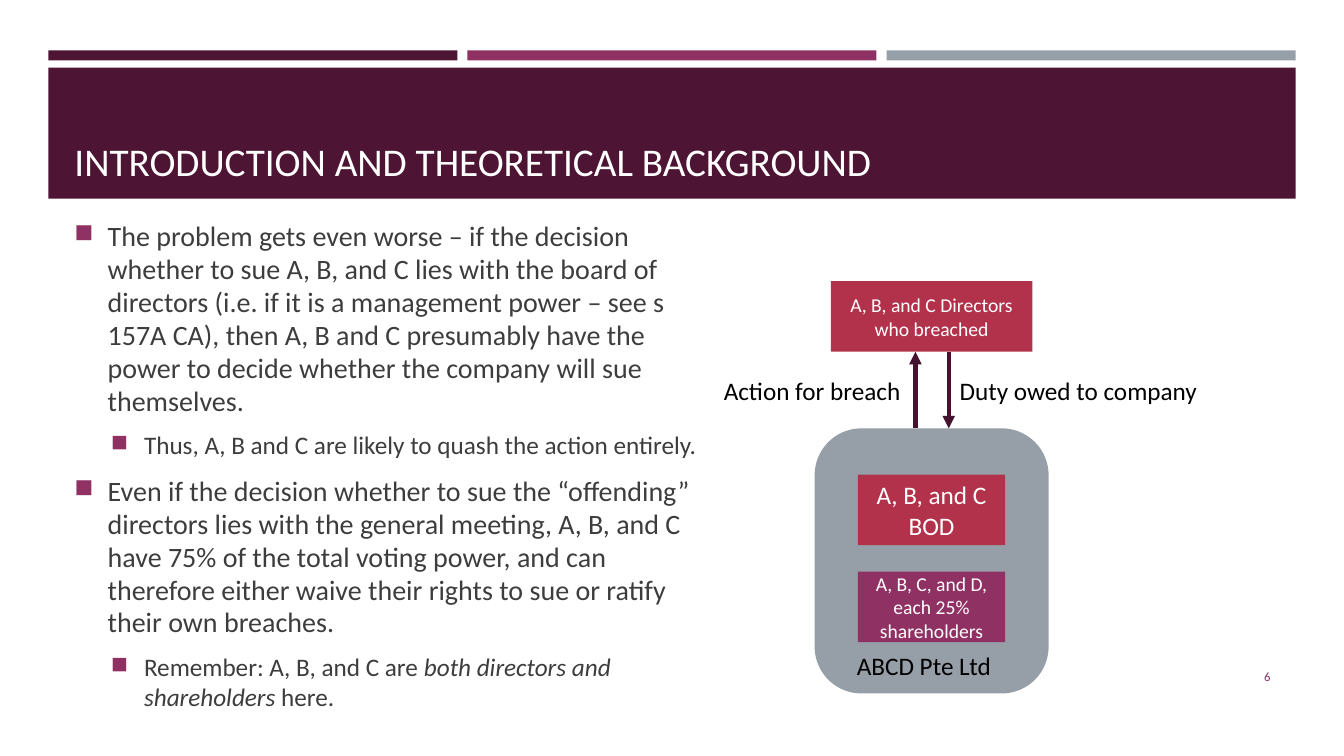
import pptx
import pptx.util
import pptx.dml.color
import pptx.enum.shapes
import pptx.enum.text
import pptx.oxml.ns
from lxml import etree

Inches, Pt = pptx.util.Inches, pptx.util.Pt
SHAPES = pptx.enum.shapes.MSO_SHAPE
ANCHOR = pptx.enum.text.MSO_ANCHOR
ALIGN = pptx.enum.text.PP_ALIGN
COLORS = {"plum": "4D1434", "magenta": "903163", "gray": "969FA7", "red": "B2324B",
          "arrow": "45122F", "body": "3D3D3D", "white": "FFFFFF", "black": "000000"}
BULLETS = [
    (0, ["The problem gets even worse – if the decision whether to sue A, B, and C lies "
         "with the board of directors (i.e. if it is a management power – see s 157A CA), "
         "then A, B and C presumably have the power to decide whether the company will "
         "sue themselves."]),
    (1, ["Thus, A, B and C are likely to quash the action entirely."]),
    (0, ["Even if the decision whether to sue the “offending” directors lies with the "
         "general meeting, A, B, and C have 75% of the total voting power, and can "
         "therefore either waive their rights to sue or ratify their own breaches."]),
    (1, ["Remember: A, B, and C are ", "both directors and shareholders", " here."]),
]


def color(name):
    return pptx.dml.color.RGBColor.from_string(COLORS[name])


def add_element(parent, tag, **attributes):
    return etree.SubElement(parent, pptx.oxml.ns.qn(tag), attributes)


def style_font(font, size, color_name):
    font.name = "Calibri"
    font.size = Pt(size)
    font.color.rgb = color(color_name)


def write(shape, text, size, color_name, align=ALIGN.LEFT, anchor=ANCHOR.MIDDLE, wrap=True):
    frame = shape.text_frame
    frame.text = text
    frame.word_wrap = wrap
    frame.vertical_anchor = anchor
    frame.paragraphs[0].alignment = align
    style_font(frame.paragraphs[0].runs[0].font, size, color_name)


def add_block(slide, box, fill, kind=SHAPES.RECTANGLE, text=None, size=18):
    shape = slide.shapes.add_shape(kind, *map(Inches, box))
    shape.shadow.inherit = False
    shape.fill.solid()
    shape.fill.fore_color.rgb = color(fill)
    shape.line.fill.background()
    if text:
        write(shape, text, size, "white", ALIGN.CENTER)
    return shape


def add_label(slide, box, text, size=18, color_name="black", **options):
    write(slide.shapes.add_textbox(*map(Inches, box)), text, size, color_name, **options)


def add_arrow(slide, x, start, end):
    arrow = slide.shapes.add_connector(
        pptx.enum.shapes.MSO_CONNECTOR.STRAIGHT,
        Inches(x), Inches(start), Inches(x), Inches(end))
    arrow.line.color.rgb = color("arrow")
    arrow.line.width = Pt(3)
    add_element(arrow.line._get_or_add_ln(), "a:tailEnd", type="triangle")
    add_element(arrow._element.spPr, "a:effectLst")


def add_header(slide, left, top, width):
    """Three accent bars above the title band."""
    gap = 0.1
    bar_width = (width - 2 * gap) / 3
    for index, fill in enumerate(["plum", "magenta", "gray"]):
        add_block(slide, (left + index * (bar_width + gap), top, bar_width, 0.1), fill)
    add_block(slide, (left, top + 0.17, width, 1.3), "plum")
    add_label(slide, (left + 0.16, top + 0.27, width - 0.3, 1.11),
              "INTRODUCTION AND THEORETICAL BACKGROUND", 28, "white", anchor=ANCHOR.BOTTOM)


def add_bullets(slide, box):
    frame = slide.shapes.add_textbox(*map(Inches, box)).text_frame
    frame.word_wrap = True
    frame.vertical_anchor = ANCHOR.MIDDLE
    for index, (level, pieces) in enumerate(BULLETS):
        paragraph = frame.paragraphs[0] if index == 0 else frame.add_paragraph()
        size = 18 if level else 20
        paragraph.level = level
        paragraph.line_spacing = 0.98
        paragraph.space_before = Pt(0.2 * size if index else 0)
        paragraph.space_after = Pt(6)
        properties = paragraph._p.get_or_add_pPr()
        properties.set("marL", str(Inches(0.33 + 0.36 * level)))
        properties.set("indent", str(Inches(-0.33)))
        add_element(add_element(properties, "a:buClr"), "a:srgbClr", val=COLORS["magenta"])
        add_element(properties, "a:buSzPct", val="92000")
        add_element(properties, "a:buChar", char="■")
        for position, piece in enumerate(pieces):
            run = paragraph.add_run()
            run.text = piece
            style_font(run.font, size, "body")
            run.font.italic = position == 1


def add_company_diagram(slide, left, top):
    """Directors above the company, joined by the duty and the action."""
    center = left + 2.16
    directors_bottom, company_top = top + 0.7, top + 1.46
    add_arrow(slide, center + 0.17, directors_bottom, company_top)
    add_arrow(slide, center - 0.16, company_top, directors_bottom)
    add_block(slide, (center - 1, top, 2, 0.7), "red",
              text="A, B, and C Directors who breached", size=14)
    company = add_block(slide, (center - 1.16, company_top, 2.32, 2.63), "gray",
                        SHAPES.ROUNDED_RECTANGLE)
    company.adjustments[0] = 0.2
    organs = [("red", "A, B, and C BOD", 18),
              ("magenta", "A, B, C, and D, each 25% shareholders", 14)]
    for index, (fill, text, size) in enumerate(organs):
        add_block(slide, (center - 0.73, company_top + 0.46 + 0.96 * index, 1.46, 0.7),
                  fill, text=text, size=size)
    labels = [(left + 2.34, top + 0.88, 2.62, "Duty owed to company"),
              (left, top + 0.88, 2.01, "Action for breach"),
              (left + 1.32, top + 3.61, 1.69, "ABCD Pte Ltd")]
    for x, y, width, text in labels:
        add_label(slide, (x, y, width, 0.4), text, wrap=False)


def main():
    presentation = pptx.Presentation()
    presentation.slide_width = Inches(13.33)
    presentation.slide_height = Inches(7.5)
    slide = presentation.slides.add_slide(presentation.slide_layouts[6])
    add_header(slide, 0.48, 0.5, 12.37)
    add_bullets(slide, (0.64, 2.38, 6.44, 4.49))
    add_label(slide, (11.55, 6.51, 1.15, 0.4), "6", 9, "magenta", align=ALIGN.RIGHT)
    add_company_diagram(slide, 7.08, 2.79)
    presentation.save("out.pptx")


if __name__ == "__main__":
    main()
